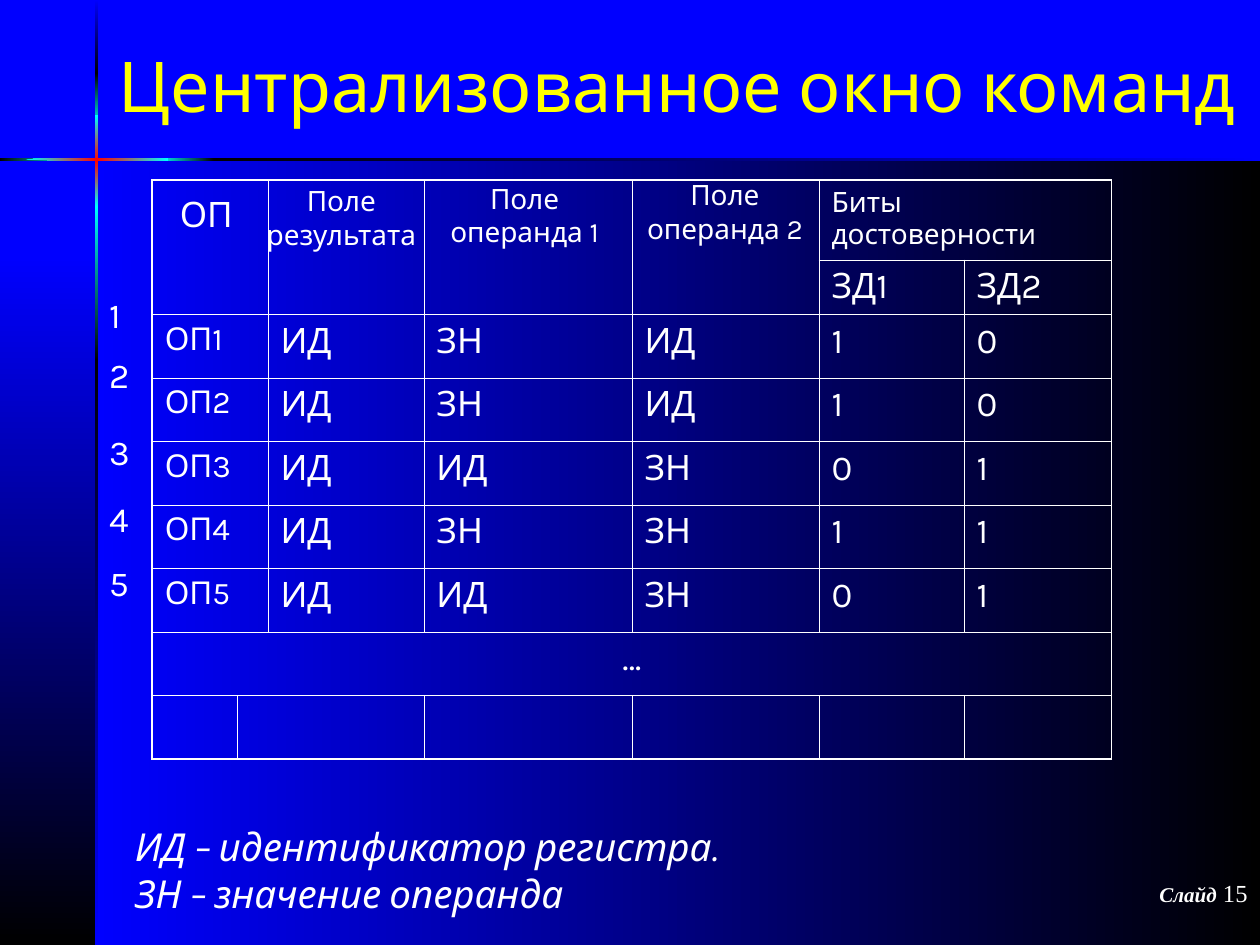
from itertools import product

from lxml.etree import SubElement
from pptx import Presentation
from pptx.dml.color import RGBColor
from pptx.enum.text import MSO_ANCHOR, MSO_AUTO_SIZE, PP_ALIGN
from pptx.oxml.ns import qn
from pptx.util import Pt

COLORS = {
    "blue": "0000FF",
    "black": "000000",
    "cyan": "00FFFF",
    "red": "FF0000",
    "white": "FFFFFF",
    "yellow": "FFFF00",
}
BODY_FONT = "Karla"
FOOTER_FONT = "Times New Roman"

COLUMN_WIDTHS = [48.9, 17.1, 89.1, 118.9, 106.9, 82.9, 84.3]
ROW_HEIGHTS = [45.4, 31] + [36.3] * 7
COMMANDS = [
    ["ОП1", "ИД", "ЗН", "ИД", "1", "0"],
    ["ОП2", "ИД", "ЗН", "ИД", "1", "0"],
    ["ОП3", "ИД", "ИД", "ЗН", "0", "1"],
    ["ОП4", "ИД", "ЗН", "ЗН", "1", "1"],
    ["ОП5", "ИД", "ИД", "ЗН", "0", "1"],
]
MERGES = (
    [((0, 0), (1, 1))]
    + [((0, column), (1, column)) for column in (2, 3, 4)]
    + [((0, 5), (0, 6))]
    + [((row, 0), (row, 1)) for row in range(2, 7)]
    + [((7, 0), (7, 6)), ((8, 1), (8, 2))]
)


def rgb(color):
    return RGBColor.from_string(COLORS[color])


def style(font, size, color="white", name=BODY_FONT, italic=False):
    font.size = Pt(size)
    font.name = name
    font.italic = italic
    font.color.rgb = rgb(color)


def add_text(slide, box, lines, size, color="white", align=PP_ALIGN.LEFT,
             anchor=MSO_ANCHOR.TOP, wrap=True, italic=False):
    frame = slide.shapes.add_textbox(*map(Pt, box)).text_frame
    frame.word_wrap = wrap
    frame.auto_size = MSO_AUTO_SIZE.NONE
    frame.vertical_anchor = anchor
    frame.text = "\n".join(lines)
    for paragraph in frame.paragraphs:
        paragraph.alignment = align
        style(paragraph.font, size, color, italic=italic)


def add_gradient_area(slide, points, colors, vertical=False):
    builder = slide.shapes.build_freeform(*points[0], scale=Pt(1))
    builder.add_line_segments(points[1:], close=True)
    area = builder.convert_to_shape()
    area.shadow.inherit = False
    area.line.fill.background()
    area.fill.gradient()
    area.fill.gradient_angle = 270 if vertical else 0
    stops = area._element.spPr.find(qn("a:gradFill")).find(qn("a:gsLst"))
    for stop in list(stops):
        stops.remove(stop)
    for index, color in enumerate(colors):
        position = index * 100000 // (len(colors) - 1)
        stop = SubElement(stops, qn("a:gs"), pos=str(position))
        SubElement(stop, qn("a:srgbClr"), val=COLORS[color])


def rectangle(left, top, right, bottom):
    return [(left, top), (right, top), (right, bottom), (left, bottom)]


def add_backdrop(slide, box):
    left, top, width, height = box
    right, bottom = left + width, top + height
    cross_x, cross_y, thickness = left + 54, top + 90, 1.6

    add_gradient_area(slide, rectangle(cross_x, cross_y, right, bottom), ["blue", "black"])
    add_gradient_area(slide, rectangle(left, top + 145.5, cross_x, bottom),
                      ["blue", "black"], vertical=True)

    for start, end, colors in [
        (0.5, 42, ["blue", "black"]),
        (203, height, ["black", "blue"]),
        (117.5, 205.5, ["cyan", "black"]),
        (42, 73.5, ["black", "cyan"]),
        (66, 118.5, ["cyan", "red", "cyan"]),
    ]:
        beam = rectangle(cross_x, top + start, cross_x + thickness, top + end)
        add_gradient_area(slide, beam, colors, vertical=True)

    for start, end, colors in [
        (0, 44, ["black", "cyan"]),
        (120, width, ["black", "blue"]),
        (90, 121.5, ["cyan", "black"]),
    ]:
        beam = rectangle(left + start, cross_y, left + end, cross_y + thickness)
        add_gradient_area(slide, beam, colors)

    glow = rectangle(left + 43.2, cross_y, left + 95.8, cross_y + thickness)
    tip = (left + 15, cross_y + thickness / 2)
    add_gradient_area(slide, [tip] + glow, ["cyan", "red", "cyan"])


def add_borders(cell, widths):
    properties = cell._tc.get_or_add_tcPr()
    for index, (side, width) in enumerate(zip(("lnL", "lnR", "lnT", "lnB"), widths)):
        line = properties.makeelement(qn(f"a:{side}"), {"w": str(Pt(width))})
        fill = SubElement(line, qn("a:solidFill"))
        SubElement(fill, qn("a:srgbClr"), val=COLORS["white"])
        properties.insert(index, line)


def fill_cell(cell, text, size=20, space_before=5, align=PP_ALIGN.LEFT):
    cell.text = text
    paragraph = cell.text_frame.paragraphs[0]
    paragraph.space_before = Pt(space_before)
    paragraph.alignment = align
    style(paragraph.font, size)


def add_command_table(slide, box):
    left, top, width, height = box
    row_count, column_count = len(ROW_HEIGHTS), len(COLUMN_WIDTHS)
    table = slide.shapes.add_table(row_count, column_count, *map(Pt, box)).table
    table.first_row = table.horz_banding = False
    for column, column_width in zip(table.columns, COLUMN_WIDTHS):
        column.width = Pt(column_width)
    for row, row_height in zip(table.rows, ROW_HEIGHTS):
        row.height = Pt(row_height)

    for row, column in product(range(row_count), range(column_count)):
        cell = table.cell(row, column)
        cell.fill.background()
        outer_edges = (column == 0, column == column_count - 1,
                       row == 0, row == row_count - 1)
        add_borders(cell, [1.08 if outer else 0.45 for outer in outer_edges])
    for first, last in MERGES:
        table.cell(*first).merge(table.cell(*last))

    fill_cell(table.cell(0, 5), "Биты достоверности", 16, 4)
    fill_cell(table.cell(1, 5), "ЗД1")
    fill_cell(table.cell(1, 6), "ЗД2")
    for row, (operation, *fields) in enumerate(COMMANDS, start=2):
        fill_cell(table.cell(row, 0), operation, 18, 4.5)
        for column, field in enumerate(fields, start=2):
            fill_cell(table.cell(row, column), field)
    fill_cell(table.cell(7, 0), "…", align=PP_ALIGN.CENTER)

    add_text(slide, (left + 8.7, top + 3.5, 45, 32), ["ОП"], 20, wrap=False)
    for offset_x, offset_y, label_width, field_name in [
        (57.6, -1.5, 101, "результата"),
        (161.3, -3, 103, "операнда 1"),
        (275.8, -5, 103, "операнда 2"),
    ]:
        add_text(slide, (left + offset_x, top + offset_y, label_width, 46),
                 ["Поле", field_name], 16, align=PP_ALIGN.CENTER, wrap=False)
    for number, offset in enumerate([61, 95.7, 139.7, 177.8, 214.5], start=1):
        add_text(slide, (left - 31.7, top + offset, 26, 32), [str(number)], 20, wrap=False)


def add_slide_number(slide, box):
    frame = slide.shapes.add_textbox(*map(Pt, box)).text_frame
    frame.word_wrap = True
    paragraph = frame.paragraphs[0]
    paragraph.alignment = PP_ALIGN.RIGHT
    label = paragraph.add_run()
    label.text = "Слайд"
    style(label.font, 12, name=FOOTER_FONT, italic=True)
    label.font.bold = True
    number = paragraph.add_run()
    number.text = " 15"
    style(number.font, 14, name=FOOTER_FONT)


def main():
    presentation = Presentation()
    presentation.slide_width, presentation.slide_height = Pt(720), Pt(540)
    slide = presentation.slides.add_slide(presentation.slide_layouts[6])
    slide.background.fill.solid()
    slide.background.fill.fore_color.rgb = rgb("blue")

    add_backdrop(slide, (0, 0, 720, 540))
    add_slide_number(slide, (570, 498, 150, 36))
    add_text(slide, (54, 6, 666, 84), ["Централизованное окно команд"], 40, "yellow",
             PP_ALIGN.CENTER, MSO_ANCHOR.MIDDLE)
    add_command_table(slide, (87, 103, sum(COLUMN_WIDTHS), sum(ROW_HEIGHTS)))
    add_text(slide, (70, 467, 650, 60.5),
             ["ИД – идентификатор регистра.", "ЗН – значение операнда"], 22, italic=True)
    presentation.save("out.pptx")


if __name__ == "__main__":
    main()
